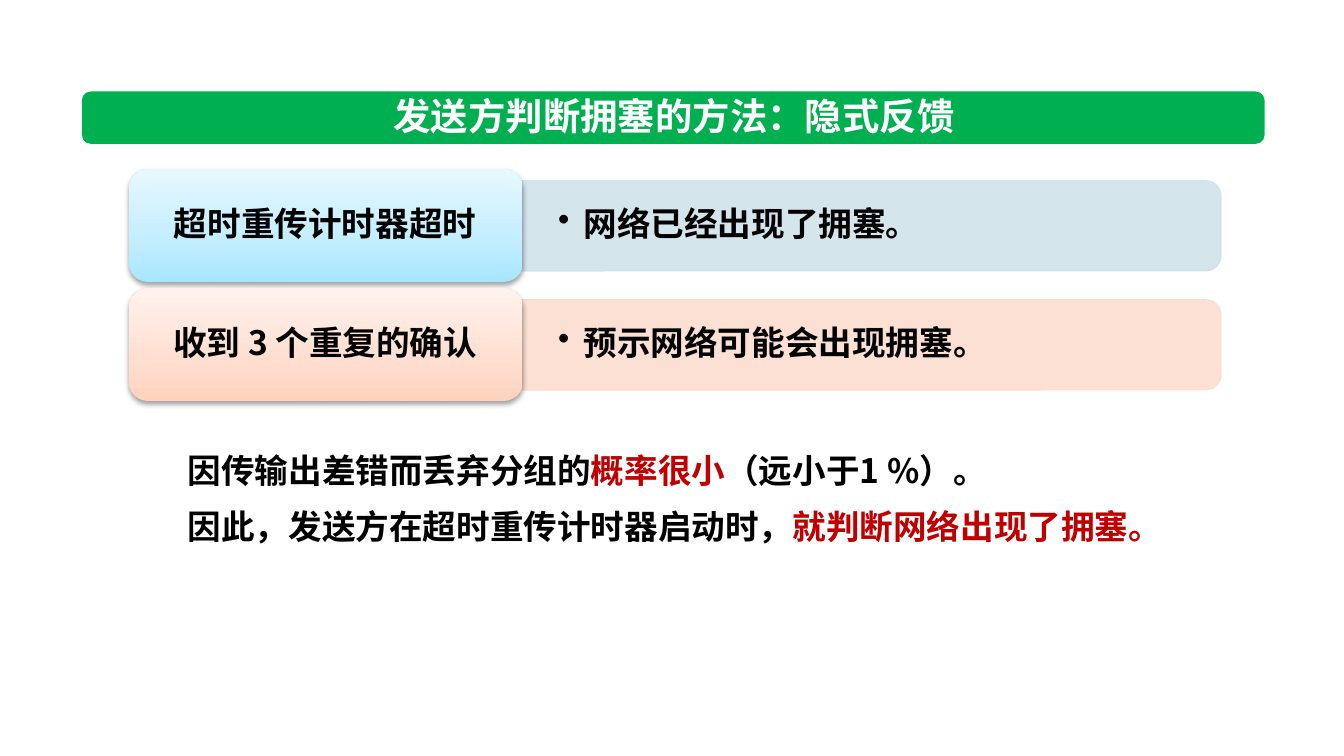
import lxml.etree
import pptx
import pptx.dml.color
import pptx.enum.shapes
import pptx.enum.text
import pptx.oxml
import pptx.oxml.ns
import pptx.util

Cm, Pt = pptx.util.Cm, pptx.util.Pt
RGB = pptx.dml.color.RGBColor.from_string
SHAPE = pptx.enum.shapes.MSO_SHAPE
ALIGN = pptx.enum.text.PP_ALIGN
ANCHOR = pptx.enum.text.MSO_ANCHOR
qn = pptx.oxml.ns.qn

THEME = {
    "font": "Noto Sans CJK SC",
    "title_size": Pt(20), "body_size": Pt(18),
    "title_bar": "00B050", "title_text": "FFFFFF",
    "text": "000000", "accent": "C00000",
    "blue": {"band": "D0E3EA", "stops": ["A7E6FF", "C1EDFF", "E7F8FF"]},
    "orange": {"band": "FCDDCF", "stops": ["FFD2BD", "FFDED0", "FFF2ED"]},
}
STOP_POSITIONS = [0, 35, 100]

deck = pptx.Presentation()
deck.slide_width, deck.slide_height = Cm(25.4), Cm(14.29)
page = deck.slides.add_slide(deck.slide_layouts[6])


def add_panel(kind, left, top, width, height, color):
    shape = page.shapes.add_shape(kind, Cm(left), Cm(top), Cm(width), Cm(height))
    shape.shadow.inherit = False
    shape.fill.solid()
    shape.fill.fore_color.rgb = RGB(color)
    shape.line.fill.background()
    return shape


def add_text(left, top, width, height, lines, frame_format, para_format,
             size=THEME["body_size"], bullet=False):
    box = page.shapes.add_textbox(Cm(left), Cm(top), Cm(width), Cm(height))
    frame = box.text_frame
    for name, value in frame_format.items():
        setattr(frame, name, value)
    for index, line in enumerate(lines):
        para = frame.add_paragraph() if index else frame.paragraphs[0]
        if bullet:
            props = para._p.get_or_add_pPr()
            props.set("marL", str(Cm(0.48)))
            props.set("indent", str(-Cm(0.48)))
            lxml.etree.SubElement(props, qn("a:buChar")).set("char", "•")
        for name, value in para_format.items():
            setattr(para, name, value)
        for text, color in line:
            span = para.add_run()
            span.text = text
            font_format = {"name": THEME["font"], "size": size, "bold": True}
            for name, value in font_format.items():
                setattr(span.font, name, value)
            span.font.color.rgb = RGB(THEME[color])
            east_asian = lxml.etree.SubElement(span._r.get_or_add_rPr(), qn("a:ea"))
            east_asian.set("typeface", THEME["font"])


# Title bar
add_panel(SHAPE.ROUNDED_RECTANGLE, 1.55, 1.73, 22.35, 0.99, THEME["title_bar"])
add_text(7.14, 1.63, 11.2, 1.12, [[("发送方判断拥塞的方法：隐式反馈", "title_text")]],
         {"word_wrap": False}, {"alignment": ALIGN.CENTER}, THEME["title_size"])

# Signal rows: a label button with its meaning on a band
rows = [
    ("超时重传计时器超时", "网络已经出现了拥塞。", "blue"),
    ("收到 3 个重复的确认", "预示网络可能会出现拥塞。", "orange"),
]
band_center, band_length, band_height = 16.47, 13.21, 1.7
label_frame = {"word_wrap": True, "vertical_anchor": ANCHOR.MIDDLE,
               "margin_left": Cm(0.18), "margin_right": Cm(0.18),
               "margin_top": Cm(0.1), "margin_bottom": Cm(0.1)}
meaning_frame = {"word_wrap": True, "vertical_anchor": ANCHOR.MIDDLE,
                 "margin_left": Cm(0.69), "margin_right": Cm(0.69),
                 "margin_top": Cm(0.36), "margin_bottom": Cm(0.36)}

for row, (label, meaning, tone) in enumerate(rows):
    middle = 4.27 + row * 2.25
    colors = THEME[tone]

    # Band, turned so that its rounded corners face right
    band = add_panel(SHAPE.ROUND_2_SAME_RECTANGLE,
                     band_center - band_height / 2, middle - band_length / 2,
                     band_height, band_length, colors["band"])
    band.rotation = 90
    band.line.color.rgb = RGB(colors["band"])
    band.line.width = Pt(0.75)
    for color in band._element.spPr.iter(qn("a:srgbClr")):
        lxml.etree.SubElement(color, qn("a:alpha")).set("val", "90000")
    add_text(9.86, middle - 0.78, 13.13, 1.55, [[(meaning, "text")]],
             meaning_frame, {"line_spacing": 0.9}, bullet=True)

    # Button with a three-stop gradient and a soft shadow
    button = add_panel(SHAPE.ROUNDED_RECTANGLE, 2.44, middle - 1.07, 7.44, 2.13,
                       colors["band"])
    button.fill.gradient()
    button.fill.gradient_angle = 90
    props = button._element.spPr
    stops = props.find(".//" + qn("a:gsLst"))
    for stop in list(stops):
        stops.remove(stop)
    for position, color in zip(STOP_POSITIONS, colors["stops"]):
        stop = lxml.etree.SubElement(stops, qn("a:gs"))
        stop.set("pos", str(position * 1000))
        lxml.etree.SubElement(stop, qn("a:srgbClr")).set("val", color)
    shadow = lxml.etree.SubElement(props.find(qn("a:effectLst")), qn("a:outerShdw"))
    for name, value in {"blurRad": Pt(3.1), "dist": Pt(1.6), "dir": 5400000,
                        "rotWithShape": 0}.items():
        shadow.set(name, str(value))
    shade = lxml.etree.SubElement(shadow, qn("a:srgbClr"))
    shade.set("val", THEME["text"])
    lxml.etree.SubElement(shade, qn("a:alpha")).set("val", "38000")
    add_text(2.54, middle - 0.97, 7.21, 1.93, [[(label, "text")]],
             label_frame, {"alignment": ALIGN.CENTER, "line_spacing": 0.9})

# Conclusion
conclusion = [
    [("因传输出差错而丢弃分组的", "text"), ("概率很小", "accent"),
     ("（远小于1 %）。", "text")],
    [("因此，发送方在超时重传计时器启动时，", "text"),
     ("就判断网络出现了拥塞。", "accent")],
]
add_text(3.3, 8.08, 18.87, 2.39, conclusion, {"word_wrap": True},
         {"line_spacing": Pt(30)})

deck.save("out.pptx")
